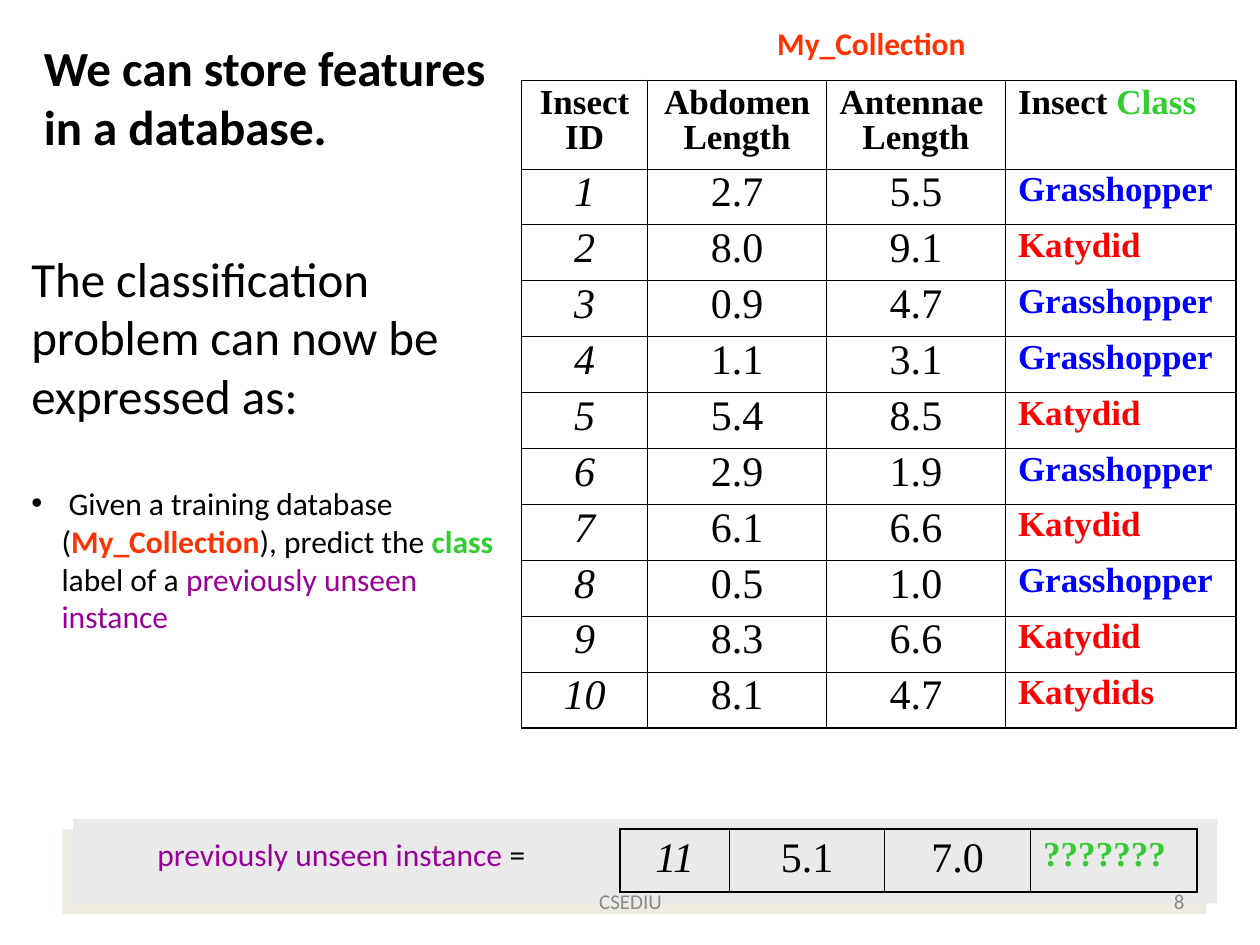
from dataclasses import dataclass

import lxml.etree
import pptx
import pptx.dml.color
import pptx.enum.shapes
import pptx.enum.text
import pptx.oxml.ns
import pptx.util
from pptx.util import Inches

qn = pptx.oxml.ns.qn
ALIGN = pptx.enum.text.PP_ALIGN


@dataclass(frozen=True)
class Theme:
    body: str = "Calibri"
    table: str = "Times New Roman"
    black: str = "000000"
    orange: str = "FF3300"
    green: str = "33CC33"
    purple: str = "990099"
    blue: str = "0000FF"
    red: str = "FF0000"
    grey: str = "898989"
    panel: str = "EAEAEA"
    panel_shadow: str = "EEECE1"
    heading: float = 28
    value: float = 24
    label: float = 20
    text: float = 18
    footer: float = 12
    outer_line: float = 1.08
    inner_line: float = 0.45


THEME = Theme()


@dataclass(frozen=True)
class Span:
    text: str
    color: str = THEME.black
    bold: bool = False


@dataclass(frozen=True)
class Line:
    spans: tuple[Span, ...]
    size: float
    font: str = THEME.body
    align: ALIGN = ALIGN.LEFT
    italic: bool = False
    spacing: float = 1.0
    before: float = 0
    bullet: bool = False


@dataclass(frozen=True)
class Insect:
    number: str
    abdomen: str
    antennae: str
    kind: str


INSECTS = [
    Insect("1", "2.7", "5.5", "Grasshopper"),
    Insect("2", "8.0", "9.1", "Katydid"),
    Insect("3", "0.9", "4.7", "Grasshopper"),
    Insect("4", "1.1", "3.1", "Grasshopper"),
    Insect("5", "5.4", "8.5", "Katydid"),
    Insect("6", "2.9", "1.9", "Grasshopper"),
    Insect("7", "6.1", "6.6", "Katydid"),
    Insect("8", "0.5", "1.0", "Grasshopper"),
    Insect("9", "8.3", "6.6", "Katydid"),
    Insect("10", "8.1", "4.7", "Katydids"),
]
UNSEEN = Insect("11", "5.1", "7.0", "???????")


def rgb(color: str) -> pptx.dml.color.RGBColor:
    return pptx.dml.color.RGBColor.from_string(color)


def write(frame, lines: list[Line]) -> None:
    for index, line in enumerate(lines):
        paragraph = frame.add_paragraph() if index else frame.paragraphs[0]
        paragraph.alignment = line.align
        paragraph.line_spacing = line.spacing
        if line.before:
            paragraph.space_before = pptx.util.Pt(line.before)
        if line.bullet:
            properties = paragraph._p.get_or_add_pPr()
            properties.set("marL", str(Inches(0.24)))
            properties.set("indent", str(-Inches(0.24)))
            lxml.etree.SubElement(properties, qn("a:buFont"), typeface="Arial")
            lxml.etree.SubElement(properties, qn("a:buChar"), char="•")
        font = paragraph.font
        font.name, font.size, font.italic = line.font, pptx.util.Pt(line.size), line.italic
        for span in line.spans:
            run = paragraph.add_run()
            run.text = span.text
            run.font.bold = span.bold
            run.font.color.rgb = rgb(span.color)


def add_text(slide, left: float, top: float, width: float, height: float,
             lines: list[Line], wrap: bool = True, middle: bool = False) -> None:
    frame = slide.shapes.add_textbox(
        Inches(left), Inches(top), Inches(width), Inches(height)).text_frame
    frame.word_wrap = wrap
    if not wrap:
        frame.auto_size = pptx.enum.text.MSO_AUTO_SIZE.SHAPE_TO_FIT_TEXT
    if middle:
        frame.vertical_anchor = pptx.enum.text.MSO_ANCHOR.MIDDLE
    write(frame, lines)


def add_border(cell, side: str, width: float) -> None:
    border = lxml.etree.SubElement(cell._tc.get_or_add_tcPr(), qn(f"a:ln{side}"),
                                   w=str(pptx.util.Pt(width)))
    fill = lxml.etree.SubElement(border, qn("a:solidFill"))
    lxml.etree.SubElement(fill, qn("a:srgbClr"), val=THEME.black)


def add_grid(slide, left: float, top: float, columns: list[float],
             heights: list[float], rows: list[list[list[Line]]]) -> None:
    """Draw a table with a thicker outer frame; each cell is a list of lines."""
    table = slide.shapes.add_table(
        len(rows), len(columns), Inches(left), Inches(top),
        Inches(sum(columns)), Inches(sum(heights))).table
    table.first_row = table.horz_banding = False
    for column, width in zip(table.columns, columns):
        column.width = Inches(width)
    for row, height in zip(table.rows, heights):
        row.height = Inches(height)
    for r, row in enumerate(rows):
        for c, lines in enumerate(row):
            cell = table.cell(r, c)
            outer = {"L": c == 0, "R": c == len(row) - 1,
                     "T": r == 0, "B": r == len(rows) - 1}
            for side, is_outer in outer.items():
                add_border(cell, side, THEME.outer_line if is_outer else THEME.inner_line)
            cell.fill.background()
            write(cell.text_frame, lines)


def header_cell(*texts: str) -> list[Line]:
    return [Line((Span(text, bold=True),), THEME.label, THEME.table, ALIGN.CENTER, spacing=0.9)
            for text in texts]


def insect_row(insect: Insect, kind_color: str, spacing: float) -> list[list[Line]]:
    values = (insect.number, insect.abdomen, insect.antennae)
    cells = [[Line((Span(value),), THEME.value, THEME.table, ALIGN.CENTER,
                   italic=index == 0, spacing=spacing)]
             for index, value in enumerate(values)]
    kind = Span(insect.kind, kind_color, True)
    return cells + [[Line((kind,), THEME.label, THEME.table, spacing=spacing)]]


def add_panel(slide) -> None:
    panel = slide.shapes.add_shape(pptx.enum.shapes.MSO_SHAPE.RECTANGLE, Inches(0.58),
                                   Inches(6.5), Inches(9.08), Inches(0.67))
    panel.fill.solid()
    panel.fill.fore_color.rgb = rgb(THEME.panel)
    panel.line.fill.background()
    panel.shadow.inherit = False
    effects = panel._element.spPr.find(qn("a:effectLst"))
    shadow = lxml.etree.SubElement(
        effects, qn("a:outerShdw"), blurRad="0", dist=str(pptx.util.Pt(8.5)),
        dir=str(135 * 60000), algn="ctr", rotWithShape="0")
    lxml.etree.SubElement(shadow, qn("a:srgbClr"), val=THEME.panel_shadow)


def main() -> None:
    deck = pptx.Presentation()
    deck.slide_width, deck.slide_height = Inches(10), Inches(7.5)
    slide = deck.slides.add_slide(deck.slide_layouts[6])
    add_panel(slide)

    class_header = Line((Span("Insect ", bold=True), Span("Class", THEME.green, True)),
                        THEME.label, THEME.table, spacing=0.9)
    header = [header_cell("Insect ID"), header_cell("Abdomen ", "Length"),
              header_cell("Antennae ", "Length"), [class_header]]
    collection = [insect_row(insect, THEME.blue if insect.kind == "Grasshopper" else THEME.red,
                             0.85) for insect in INSECTS]
    header_height, table_height = 0.7, 5.14
    row_height = (table_height - header_height) / len(INSECTS)
    add_grid(slide, 4.14, 0.64, [1, 1.42, 1.42, 1.83],
             [header_height] + [row_height] * len(INSECTS), [header] + collection)
    add_grid(slide, 4.92, 6.58, [0.87, 1.23, 1.16, 1.32], [0.5],
             [insect_row(UNSEEN, THEME.green, 1.0)])

    collection_name = Span("My_Collection", THEME.orange, True)
    unseen_name = Span("previously unseen instance", THEME.purple)
    add_text(slide, 0.25, 0.25, 3.83, 1.04, [
        Line((Span("We can store features in a database.", bold=True),), THEME.heading)])
    add_text(slide, 6.07, 0.14, 1.72, 0.4, [Line((collection_name,), THEME.text)], wrap=False)
    add_text(slide, 0.15, 1.92, 3.92, 3.17, [
        Line((Span("The classification problem can now be expressed as:"),), THEME.heading),
        Line((Span(" Given a training database ("), collection_name, Span("), predict the "),
              Span("class ", THEME.green, True), Span("label of a "), unseen_name),
             THEME.text, before=34, bullet=True)])
    add_text(slide, 1.15, 6.58, 3.18, 0.4,
             [Line((unseen_name, Span(" =")), THEME.text)], wrap=False)
    add_text(slide, 7.17, 6.95, 2.33, 0.4,
             [Line((Span("8", THEME.grey),), THEME.footer, align=ALIGN.RIGHT)], middle=True)
    add_text(slide, 3.42, 6.95, 3.17, 0.4,
             [Line((Span("CSEDIU", THEME.grey),), THEME.footer, align=ALIGN.CENTER)], middle=True)
    deck.save("out.pptx")


if __name__ == "__main__":
    main()
